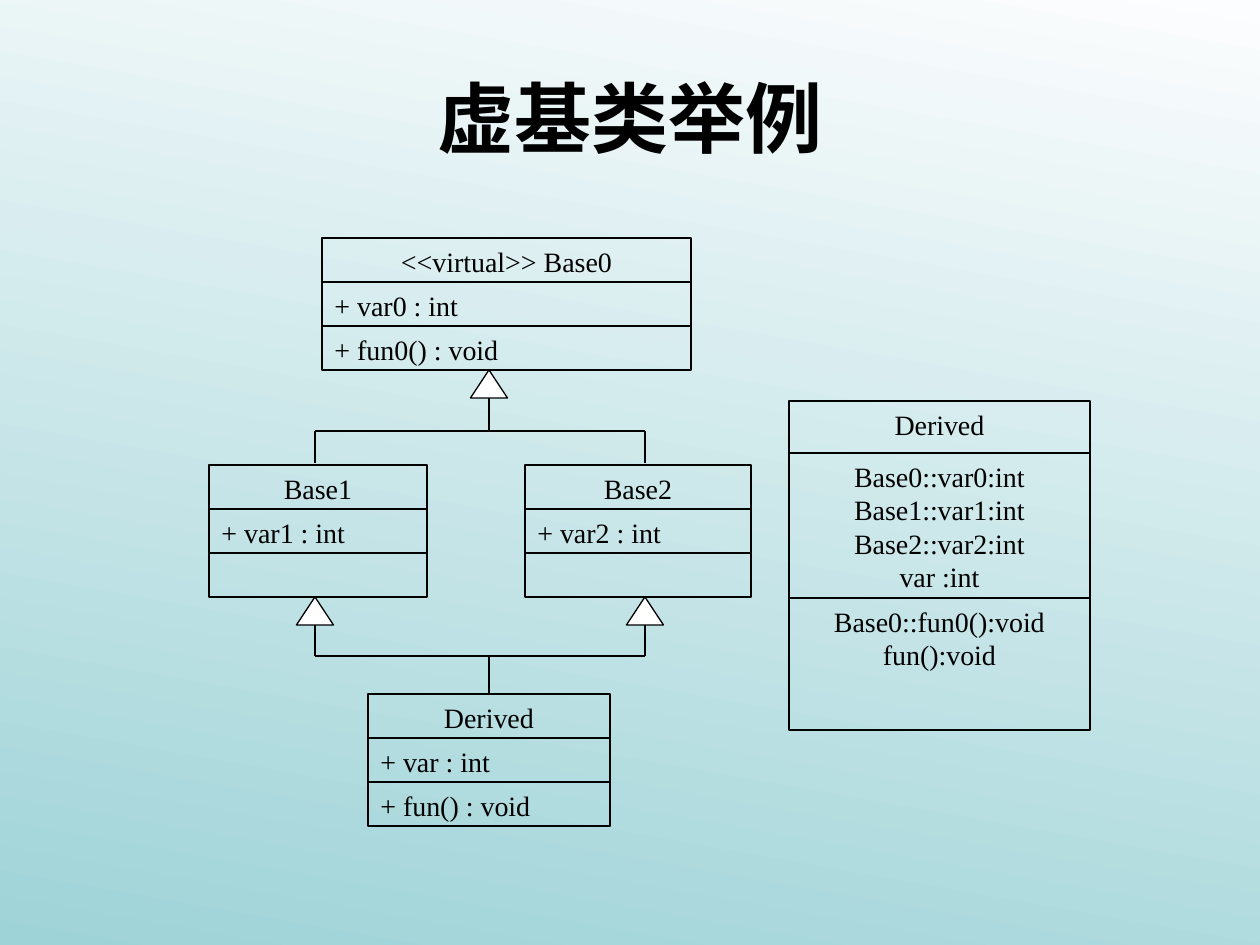
"""Build the virtual base class slide: a UML diamond hierarchy and its merged members."""
from pptx import Presentation
from pptx import util as u
from pptx.dml.color import RGBColor
from pptx.enum import shapes, text
from pptx.oxml.ns import qn
from lxml import etree

COLORS = {"ink": "000000", "arrow": "FFFFFF", "sky": "FCFDFE", "teal": "9ED3D7"}
BODY_FONT = "Times New Roman"
TITLE_FONT = "Noto Sans CJK SC"
ROW = 44
HEAD_W, HEAD_H = 37, 28
LEFT_AXIS, MID_AXIS, RIGHT_AXIS = 315, 489, 645


def px(length):
    """Turn px at 126 to the inch into EMU."""
    return u.Emu(round(length * 914400 / 126))


def color(name):
    """Look up a named colour."""
    return RGBColor.from_string(COLORS[name])


def outline(item):
    """Give a shape or connector the thin dark line."""
    item.line.color.rgb = color("ink")
    item.line.width = u.Pt(0.75)


def add_run(paragraph, words, size, font, bold=False):
    """Add one formatted run to a paragraph."""
    run = paragraph.add_run()
    run.text = words
    run.font.size = u.Pt(size)
    run.font.name = font
    run.font.bold = bold
    run.font.color.rgb = color("ink")
    return run


def paint_background(slide):
    """Fill the slide with the slanted gradient."""
    fill = slide.background.fill
    fill.gradient()
    fill.gradient_angle = 260
    for stop, name in zip(fill.gradient_stops, ("sky", "teal")):
        stop.color.rgb = color(name)


def add_title(slide, words):
    """Place and format the title placeholder."""
    title = slide.shapes.title
    title.left, title.top, title.width, title.height = map(px, (63, 38, 1134, 158))
    frame = title.text_frame
    frame.auto_size = text.MSO_AUTO_SIZE.NONE
    frame.vertical_anchor = text.MSO_ANCHOR.MIDDLE
    heading = frame.paragraphs[0]
    heading.alignment = text.PP_ALIGN.CENTER
    run = add_run(heading, words, 44, TITLE_FONT, bold=True)
    east_asian = etree.SubElement(run.font._element, qn("a:ea"))
    east_asian.set("typeface", TITLE_FONT)


def add_compartment(slide, left, top, width, height, lines, align):
    """Add one compartment of a class box."""
    compartment = slide.shapes.add_shape(
        shapes.MSO_SHAPE.RECTANGLE, *map(px, (left, top, width, height)))
    compartment.shadow.inherit = False
    compartment.fill.background()
    outline(compartment)
    frame = compartment.text_frame
    frame.word_wrap = True
    frame.vertical_anchor = text.MSO_ANCHOR.TOP
    for index, line in enumerate(lines):
        paragraph = frame.add_paragraph() if index else frame.paragraphs[0]
        paragraph.alignment = align
        add_run(paragraph, line, 16, BODY_FONT)
    return compartment


def add_class(slide, left, top, width, compartments, heights=(ROW,) * 3,
              member_align=text.PP_ALIGN.LEFT):
    """Stack the name, data and function compartments; return the name one."""
    stack = []
    for lines, height in zip(compartments, heights):
        align = member_align if stack else text.PP_ALIGN.CENTER
        stack.append(add_compartment(slide, left, top, width, height, lines, align))
        top += height
    return stack[0]


def add_arrowhead(slide, axis, top):
    """Add a hollow inheritance arrowhead centred on an axis."""
    head = slide.shapes.add_shape(
        shapes.MSO_SHAPE.ISOSCELES_TRIANGLE,
        *map(px, (axis - HEAD_W / 2, top, HEAD_W, HEAD_H)))
    head.shadow.inherit = False
    head.fill.solid()
    head.fill.fore_color.rgb = color("arrow")
    outline(head)


def add_line(slide, *ends):
    """Add a straight line between two points."""
    line = slide.shapes.add_connector(shapes.MSO_CONNECTOR.STRAIGHT, *map(px, ends))
    outline(line)
    etree.SubElement(line._element.spPr, qn("a:effectLst"))
    return line


def main():
    """Assemble and save the slide."""
    deck = Presentation()
    deck.slide_width, deck.slide_height = px(1260), px(945)
    slide = deck.slides.add_slide(deck.slide_layouts[5])
    paint_background(slide)
    add_title(slide, "虚基类举例")

    add_class(slide, 789, 401, 301,
              (["Derived"],
               ["Base0::var0:int", "Base1::var1:int", "Base2::var2:int", "var :int"],
               ["Base0::fun0():void", "fun():void"]),
              heights=(52, 145, 132), member_align=text.PP_ALIGN.CENTER)
    add_class(slide, 322, 238, 369,
              (["<<virtual>> Base0"], ["+ var0 : int"], ["+ fun0() : void"]))
    add_class(slide, 209, 465, 218, (["Base1"], ["+ var1 : int"], []))
    add_class(slide, 525, 465, 226, (["Base2"], ["+ var2 : int"], []))
    derived = add_class(slide, 368, 694, 242,
                        (["Derived"], ["+ var : int"], ["+ fun() : void"]))

    base0_foot, bases_foot = 238 + 3 * ROW, 465 + 3 * ROW
    upper_bar, lower_bar = 431, 656
    add_arrowhead(slide, MID_AXIS, base0_foot)
    add_line(slide, MID_AXIS, base0_foot + HEAD_H, MID_AXIS, upper_bar)
    for bar in (upper_bar, lower_bar):
        add_line(slide, LEFT_AXIS, bar, RIGHT_AXIS, bar)
    for axis in (LEFT_AXIS, RIGHT_AXIS):
        add_line(slide, axis, upper_bar, axis, 463)
        add_arrowhead(slide, axis, bases_foot)
        add_line(slide, axis, bases_foot + HEAD_H, axis, lower_bar)
    stem = add_line(slide, MID_AXIS, 694, MID_AXIS, lower_bar)
    stem.begin_connect(derived, 0)

    deck.save("out.pptx")


if __name__ == "__main__":
    main()
